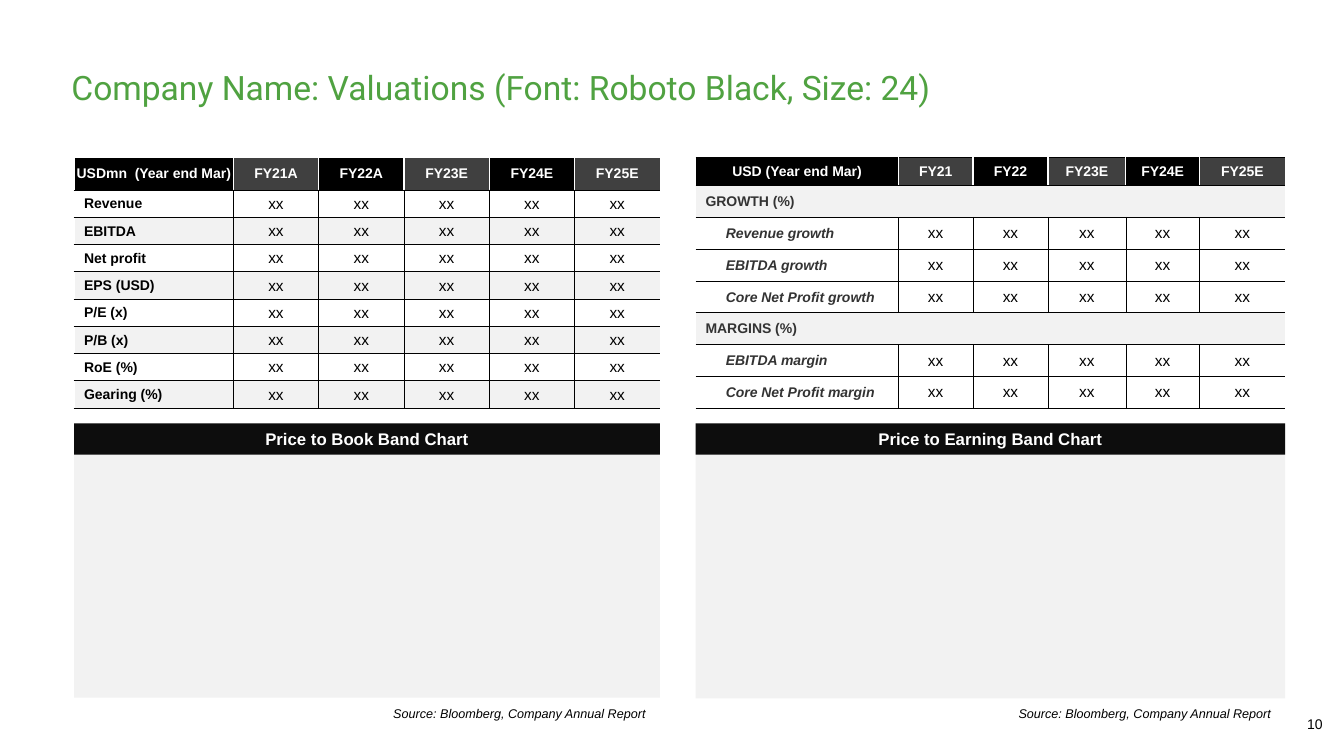
from collections import namedtuple

from lxml import etree
from pptx import Presentation
from pptx.dml.color import RGBColor
from pptx.enum.shapes import MSO_SHAPE
from pptx.enum.text import MSO_ANCHOR, MSO_AUTO_SIZE, PP_ALIGN
from pptx.oxml.ns import qn
from pptx.util import Cm, Pt

RECTANGLE = MSO_SHAPE.RECTANGLE
TOP, MIDDLE = MSO_ANCHOR.TOP, MSO_ANCHOR.MIDDLE
LEFT, CENTER, RIGHT = PP_ALIGN.LEFT, PP_ALIGN.CENTER, PP_ALIGN.RIGHT
NO_AUTOFIT = MSO_AUTO_SIZE.NONE

BLACK, WHITE, GREY, PALE = "000000", "FFFFFF", "404040", "F2F2F2"
INK, BAND, GREEN = "333333", "0D0D0D", "50A241"
THIN, THICK = (BLACK, 0.25), (WHITE, 1)
PLAIN_TABLE = "{2D5ABB26-0587-4C30-8999-92F81FD0307C}"
SOURCE = "Source: Bloomberg, Company Annual Report"

Box = namedtuple("Box", "left top width height")


def color(value):
    return RGBColor.from_string(value)


def place(box):
    return [Cm(length) for length in box]


def write(frame, text, size, ink, align=LEFT, bold=False, italic=False, font="Arial"):
    frame.text = text
    paragraph = frame.paragraphs[0]
    paragraph.alignment = align
    for run in paragraph.runs:
        run.font.name = font
        run.font.size = Pt(size)
        run.font.bold = bold
        run.font.italic = italic
        run.font.color.rgb = color(ink)


def add_title(slide, box, text):
    title = slide.shapes.title
    title.left, title.top, title.width, title.height = place(box)
    frame = title.text_frame
    frame.margin_left = frame.margin_top = frame.margin_bottom = 0
    frame.vertical_anchor = TOP
    frame.auto_size = NO_AUTOFIT
    write(frame, text, 24, GREEN, font="Roboto")
    frame.paragraphs[0].line_spacing = 0.9


def add_note(slide, box, text, size, anchor, align=LEFT, italic=False):
    frame = slide.shapes.add_textbox(*place(box)).text_frame
    frame.word_wrap = True
    frame.vertical_anchor = anchor
    write(frame, text, size, BLACK, align, italic=italic)


def add_rectangle(slide, box, fill):
    rectangle = slide.shapes.add_shape(RECTANGLE, *place(box))
    rectangle.shadow.inherit = False
    rectangle.fill.solid()
    rectangle.fill.fore_color.rgb = color(fill)
    rectangle.line.fill.background()
    return rectangle


def add_chart_panel(slide, box, heading):
    add_rectangle(slide, box, PALE)
    band = add_rectangle(slide, box._replace(height=0.79), BAND)
    band.text_frame.vertical_anchor = MIDDLE
    write(band.text_frame, heading, 12, WHITE, CENTER, bold=True)
    source_width = 6.97
    source = Box(box.left + box.width - source_width, 17.55, source_width, 0.84)
    add_note(slide, source, SOURCE, 9, MIDDLE, italic=True)


def set_borders(cell, **borders):
    properties = cell._tc.get_or_add_tcPr()
    drawn = [(side, borders[side]) for side in "LRTB" if borders.get(side)]
    for position, (side, (ink, points)) in enumerate(drawn):
        line = etree.Element(qn(f"a:ln{side}"), w=str(Pt(points)))
        solid = etree.SubElement(line, qn("a:solidFill"))
        etree.SubElement(solid, qn("a:srgbClr"), val=ink)
        properties.insert(position, line)


def format_cell(cell, fill, indent=0.03):
    cell.vertical_anchor = MIDDLE
    cell.margin_left = Cm(indent)
    cell.margin_right = cell.margin_top = Cm(0.03)
    cell.margin_bottom = 0
    if fill:
        cell.fill.solid()
        cell.fill.fore_color.rgb = color(fill)
    else:
        cell.fill.background()


def fill_header(table, headings, edge, top):
    last = len(headings) - 1
    for column, heading in enumerate(headings):
        cell = table.cell(0, column)
        format_cell(cell, GREY if column % 2 else BLACK)
        write(cell.text_frame, heading, 10, WHITE, CENTER, bold=True)
        set_borders(cell, L=THICK if column else edge, T=top, B=THIN,
                    R=THICK if column < last else None)


def fill_row(table, row, label, fill, ink, indent, italic, edge):
    last = len(table.columns) - 1
    for column in range(last + 1):
        cell = table.cell(row, column)
        if column:
            format_cell(cell, fill)
            write(cell.text_frame, "xx", 11, BLACK, CENTER)
        else:
            format_cell(cell, fill, indent)
            write(cell.text_frame, label, 10, ink, bold=True, italic=italic)
        set_borders(cell, L=THIN if column else edge, T=THIN, B=THIN,
                    R=THIN if column < last else None)


def fill_section(table, row, label):
    last = len(table.columns) - 1
    for column in range(last + 1):
        cell = table.cell(row, column)
        format_cell(cell, PALE, 0.25)
        set_borders(cell, T=THIN, B=THIN)
        if column:
            paragraph = cell.text_frame.paragraphs[0]._p
            etree.SubElement(paragraph, qn("a:endParaRPr"), sz="1000")
    write(table.cell(row, 0).text_frame, label, 10, INK, bold=True)
    table.cell(row, 0).merge(table.cell(row, last))


def add_grid(slide, box, widths, header_height, row_count):
    table = slide.shapes.add_table(row_count + 1, len(widths), *place(box)).table
    table.first_row = table.horz_banding = False
    table._tbl.tblPr.find(qn("a:tableStyleId")).text = PLAIN_TABLE
    for column, width in zip(table.columns, widths):
        column.width = Cm(width)
    for row in table.rows:
        row.height = Cm((box.height - header_height) / row_count)
    table.rows[0].height = Cm(header_height)
    return table


def add_valuation_table(slide, box):
    years = ["FY21A", "FY22A", "FY23E", "FY24E", "FY25E"]
    measures = ["Revenue", "EBITDA", "Net profit", "EPS (USD)",
                "P/E (x)", "P/B (x)", "RoE (%)", "Gearing (%)"]
    year_width = 2.15
    label_width = box.width - year_width * len(years)
    table = add_grid(slide, box, [label_width] + [year_width] * len(years),
                     0.82, len(measures))
    fill_header(table, ["USDmn  (Year end Mar)"] + years, THICK, THICK)
    for row, measure in enumerate(measures, 1):
        fill = None if row % 2 else PALE
        fill_row(table, row, measure, fill, BLACK, 0.25, False, THICK)


def add_ratio_table(slide, box):
    headings = ["USD (Year end Mar)", "FY21", "FY22", "FY23E", "FY24E", "FY25E"]
    sections = {
        "GROWTH (%)": ["Revenue growth", "EBITDA growth", "Core Net Profit growth"],
        "MARGINS (%)": ["EBITDA margin", "Core Net Profit margin"],
    }
    row_count = sum(1 + len(ratios) for ratios in sections.values())
    table = add_grid(slide, box, [5.11, 1.88, 1.89, 1.96, 1.86, 2.16], 0.71, row_count)
    fill_header(table, headings, None, THIN)
    row = 1
    for section, ratios in sections.items():
        fill_section(table, row, section)
        for row, ratio in enumerate(ratios, row + 1):
            fill_row(table, row, ratio, None, INK, 0.76, True, None)
        row += 1


def main():
    deck = Presentation()
    deck.slide_width, deck.slide_height = Cm(33.87), Cm(19.05)
    slide = deck.slides.add_slide(deck.slide_layouts[5])
    add_title(slide, Box(1.8, 1.8, 26.67, 1.32),
              "Company Name: Valuations (Font: Roboto Black, Size: 24)")
    add_note(slide, Box(32.59, 17.91, 0.99, 0.74), "10", 10, TOP, RIGHT)

    left_table = Box(1.87, 3.96, 14.76, 6.32)
    right_table = left_table._replace(left=17.53, width=14.86)
    add_ratio_table(slide, right_table)
    add_valuation_table(slide, left_table)
    add_chart_panel(slide, left_table._replace(top=10.67, height=6.91),
                    "Price to Book Band Chart")
    add_chart_panel(slide, right_table._replace(top=10.67, height=6.93),
                    "Price to Earning Band Chart")
    deck.save("out.pptx")


if __name__ == "__main__":
    main()
